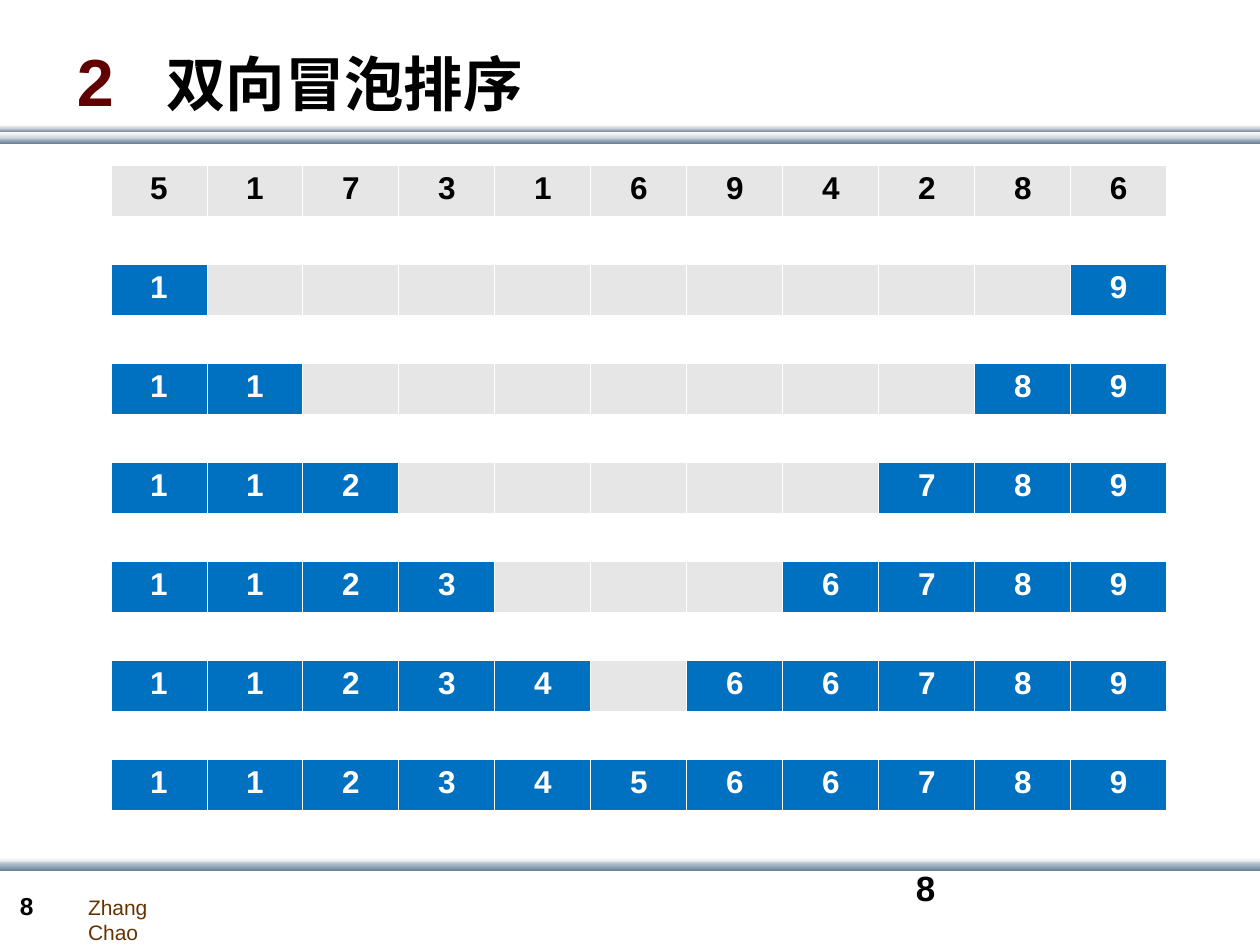
from pptx import Presentation
from pptx import util as u
from pptx.dml.color import RGBColor
from pptx.enum import shapes, text
from pptx.oxml import parse_xml
from pptx.oxml.ns import nsdecls

BLACK = RGBColor(0x00, 0x00, 0x00)
WHITE = RGBColor(0xFF, 0xFF, 0xFF)
MIST = RGBColor(0xC8, 0xD1, 0xDA)
STEEL = RGBColor(0x6A, 0x83, 0x9C)
MAROON = RGBColor(0x60, 0x00, 0x00)
BROWN = RGBColor(0x66, 0x33, 0x00)
GREY = RGBColor(0xE6, 0xE6, 0xE6)
BLUE = RGBColor(0x00, 0x70, 0xC0)
PALE_FADE, DARK_FADE = (WHITE, MIST), (MIST, STEEL)

# The slide is a grid of 100 columns by 75 rows
WIDTH, HEIGHT = u.Inches(10), u.Inches(7.5)
COLUMN, ROW = WIDTH / 100, HEIGHT / 75

UNSORTED = [5, 1, 7, 3, 1, 6, 9, 4, 2, 8, 6]
SORTED = sorted(UNSORTED)
COUNT = len(UNSORTED)


def grid(left, top, columns, rows):
    return (round(left * COLUMN), round(top * ROW),
            round(columns * COLUMN), round(rows * ROW))


def add_span(para, words, size, color=BLACK, bold=True):
    span = para.add_run()
    span.text = words
    font = span.font
    font.name, font.size, font.bold = "Arial", u.Pt(size), bold
    font.color.rgb = color


def add_label(page, box, words, wrap=True, **style):
    frame = page.shapes.add_textbox(*box).text_frame
    frame.word_wrap = wrap
    add_span(frame.paragraphs[0], words, **style)


def add_rule(page, box, stripes):
    """Stack fading stripes; each is (top share, height share, fade)."""
    left, top, width, height = box
    for start, share, fade in stripes:
        stripe = page.shapes.add_shape(
            shapes.MSO_SHAPE.RECTANGLE, left, round(top + start * height),
            width, round(share * height))
        stripe.shadow.inherit = False
        stripe.line.fill.background()
        stripe.fill.gradient()
        stripe.fill.gradient_angle = 270
        for stop, color in zip(stripe.fill.gradient_stops, fade):
            stop.color.rgb = color


def add_title(page, box, number, words):
    title = page.shapes.title
    title.left, title.top, title.width, title.height = box
    frame = title.text_frame
    frame.auto_size = text.MSO_AUTO_SIZE.NONE
    frame.vertical_anchor = text.MSO_ANCHOR.MIDDLE
    para = frame.paragraphs[0]
    para.alignment = text.PP_ALIGN.LEFT
    # A tab stop sets the gap after the number
    para._p.get_or_add_pPr().append(parse_xml(
        f'<a:tabLst {nsdecls("a")}><a:tab pos="{round(7.1 * COLUMN)}" algn="l"/></a:tabLst>'))
    add_span(para, number + "\t", size=38, color=MAROON)
    add_span(para, words, size=34)


def add_borders(cell):
    properties = cell._tc.get_or_add_tcPr()
    for index, (side, points) in enumerate(
            [("L", 0.45), ("R", 0.45), ("T", 0.45), ("B", 1.47)]):
        properties.insert(index, parse_xml(
            f'<a:ln{side} {nsdecls("a")} w="{u.Pt(points)}"><a:solidFill>'
            f'<a:srgbClr val="{WHITE}"/></a:solidFill></a:ln{side}>'))


def add_pass(page, box, values, fill, color):
    """One state of the list; None marks a place not yet settled."""
    table = page.shapes.add_table(1, COUNT, *box).table
    table.first_row = table.horz_banding = False
    for column, cell, value in zip(table.columns, table.iter_cells(), values):
        column.width = round(box[2] / COUNT)
        cell.fill.solid()
        cell.fill.fore_color.rgb = GREY if value is None else fill
        add_borders(cell)
        para = cell.text_frame.paragraphs[0]
        para.alignment = text.PP_ALIGN.CENTER
        if value is not None:
            add_span(para, str(value), size=18, color=color)


def add_passes(page, box):
    """The unsorted list, then one more settled pair of ends each pass."""
    left, top, width, height = box
    passes = COUNT // 2 + 1
    pitch = height / (passes + 1)
    row_height = round(4.1 * ROW)
    add_pass(page, (left, top, width, row_height), UNSORTED, GREY, BLACK)
    for done in range(1, passes + 1):
        values = [value if min(place, COUNT - 1 - place) < done else None
                  for place, value in enumerate(SORTED)]
        add_pass(page, (left, round(top + done * pitch), width, row_height),
                 values, BLUE, WHITE)


def add_footer(page):
    add_label(page, grid(6, 70.5, 11.1, 3), "Zhang Chao", wrap=False,
              size=12, color=BROWN, bold=False)
    add_label(page, grid(0.6, 70.2, 5.5, 3.4), "8", size=14)
    add_label(page, grid(71.7, 68.3, 23.3, 5), "8", size=20)


def main():
    deck = Presentation()
    deck.slide_width, deck.slide_height = WIDTH, HEIGHT
    page = deck.slides.add_slide(deck.slide_layouts[5])

    # Rules under the title and above the footer
    add_rule(page, grid(0, 9.9, 100, 1.5), [
        (0.67, 0.33, DARK_FADE), (0.2, 0.2, DARK_FADE),
        (0.4, 0.33, PALE_FADE), (0, 0.2, PALE_FADE)])
    add_rule(page, grid(0, 68.1, 100, 1), [
        (0, 0.5, PALE_FADE), (0.3, 0.7, DARK_FADE)])

    add_footer(page)
    add_passes(page, grid(8.8, 13.1, 83.8, 55))
    add_title(page, grid(5.1, 2.1, 90, 8.5), "2", "双向冒泡排序")
    deck.save("out.pptx")


if __name__ == "__main__":
    main()
